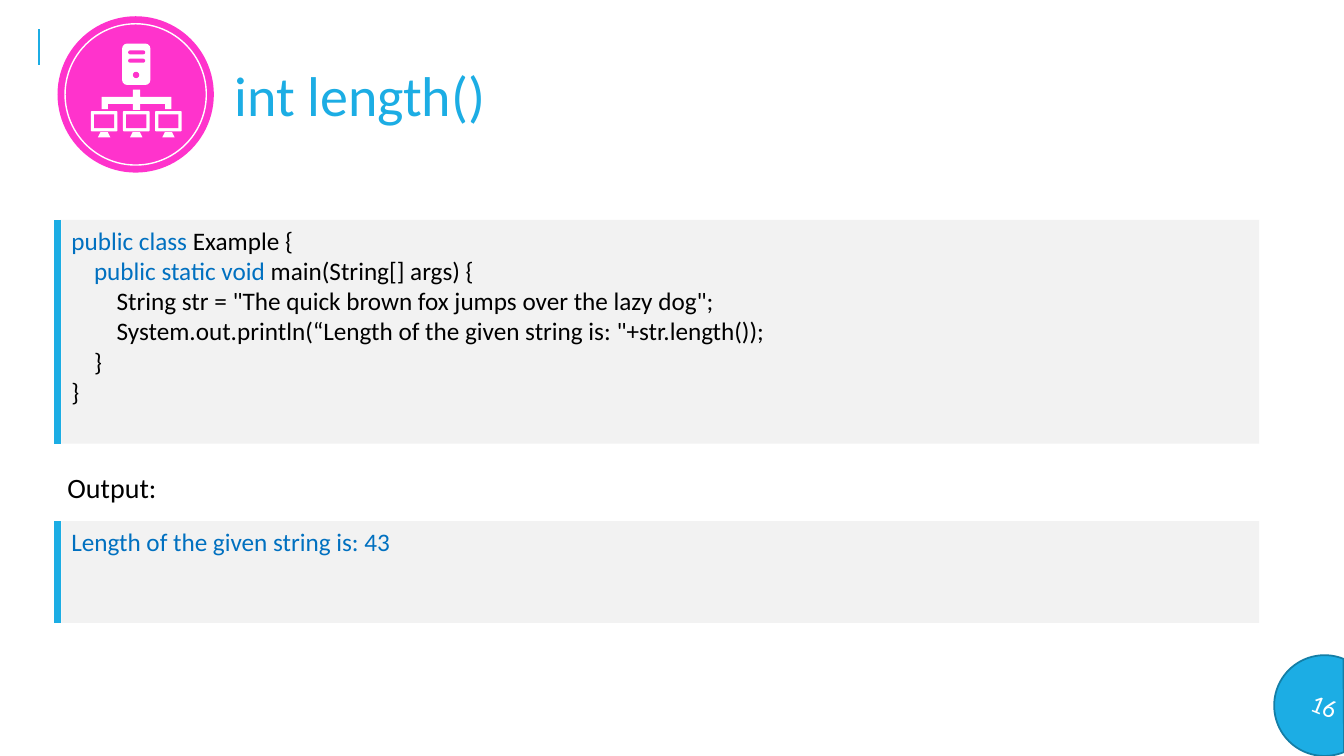
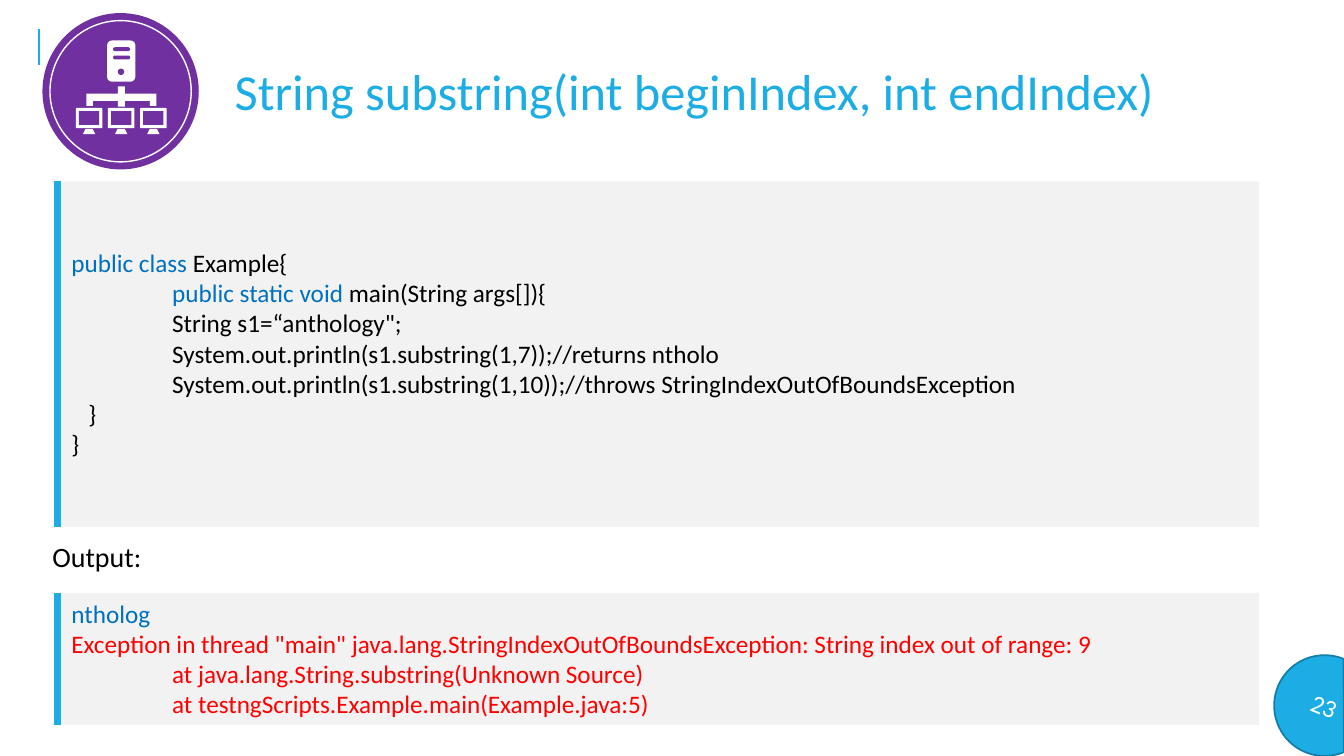
"""Build two slides that show Java String methods with code and output."""
from lxml import etree
from pptx import Presentation
from pptx import util as u
from pptx.dml import color
from pptx.enum import shapes, text
from pptx.oxml import ns

COLOURS = {
    "accent": "1CADE4", "edge": "147EA6", "panel": "F2F2F2", "keyword": "0070C0",
    "plain": "000000", "error": "FF0000", "white": "FFFFFF",
    "pink": "FF33CC", "purple": "7030A0",
}
RGB = {name: color.RGBColor.from_string(code) for name, code in COLOURS.items()}
FONT = "Calibri"
KIND = shapes.MSO_SHAPE
ALIGN, ANCHOR = text.PP_ALIGN, text.MSO_ANCHOR
STEP, TAB = 0.57, 2.54

SLIDES = [
    {
        "title": "int length()", "title_size": 40, "title_box": (12.88, 1.96),
        "number": "16", "badge": (1.45, 0.41), "badge_fill": "pink",
        "label": (1.45, 11.73),
        "panels": [
            (5.54, 5.64, 0.13, [
                (0, ("public class ", "keyword"), ("Example {", "plain")),
                (STEP, ("public static void ", "keyword"), ("main(String[] args) {", "plain")),
                (2 * STEP, ('String str = "The quick brown fox jumps over the lazy dog";', "plain")),
                (2 * STEP, ('System.out.println(“Length of the given string is: "+str.length());', "plain")),
                (STEP, ("}", "plain")),
                (0, ("}", "plain")),
            ]),
            (13.13, 2.57, 0.13, [(0, ("Length of the given string is: 43", "keyword"))]),
        ],
    },
    {
        "title": "String substring(int beginIndex, int endIndex)",
        "title_size": 36, "title_box": (26.06, 1.8),
        "number": "23", "badge": (1.07, 0.33), "badge_fill": "purple",
        "label": (1.07, 13.46),
        "panels": [
            (4.57, 8.71, 1.66, [
                (0, ("public class ", "keyword"), ("Example{", "plain")),
                (TAB, ("public static void ", "keyword"), ("main(String args[]){", "plain")),
                (TAB, ('String s1=“anthology";', "plain")),
                (TAB, ("System.out.println(s1.substring(1,7));//returns ntholo", "plain")),
                (TAB, ("System.out.println(s1.substring(1,10));//throws StringIndexOutOfBoundsException", "plain")),
                (0.43, ("}", "plain")),
                (0, ("}", "plain")),
            ]),
            (14.94, 3.33, 0.13, [
                (0, ("ntholog", "keyword")),
                (0, ('Exception in thread "main" java.lang.StringIndexOutOfBoundsException: '
                     "String index out of range: 9", "error")),
                (TAB, ("at java.lang.String.substring(Unknown Source)", "error")),
                (TAB, ("at testngScripts.Example.main(Example.java:5)", "error")),
            ]),
        ],
    },
]


def draw_shape(parent, kind, place, fill, line=None, width=1):
    """Add a flat preset shape; place is left, top, width, height in cm."""
    shape = parent.shapes.add_shape(kind, *map(u.Cm, place))
    shape.shadow.inherit = False
    shape.fill.solid()
    shape.fill.fore_color.rgb = RGB[fill]
    if line:
        shape.line.color.rgb = RGB[line]
        shape.line.width = u.Pt(width)
    else:
        shape.line.fill.background()
    return shape


def draw_rule(parent, x, top, bottom, width):
    """Add a vertical accent line."""
    rule = parent.shapes.add_connector(
        shapes.MSO_CONNECTOR.STRAIGHT, u.Cm(x), u.Cm(top), u.Cm(x), u.Cm(bottom))
    rule.line.color.rgb = RGB["accent"]
    rule.line.width = u.Pt(width)
    etree.SubElement(rule.element.spPr, ns.qn("a:effectLst"))
    return rule


deck = Presentation()
deck.slide_width, deck.slide_height = u.Cm(33.87), u.Cm(19.05)
layout = deck.slide_layouts[5]

for index, content in enumerate(SLIDES):
    page = deck.slides.add_slide(layout)
    if index == 0:
        layout.shapes.element.append(draw_rule(page, 0.99, 0.74, 1.63, 1.5).element)

    title = page.shapes.title
    title.left, title.top = u.Cm(5.66), u.Cm(1.4)
    title.width, title.height = map(u.Cm, content["title_box"])

    chord = draw_shape(page, KIND.CHORD, (32.11, 16.51, 2.54, 2.54), "accent", "edge", 1.25)
    chord.adjustments[0], chord.adjustments[1] = 27, 161.87
    chord.rotation = 22.2

    for top, height, inset, lines in content["panels"]:
        group = page.shapes.add_group_shape()
        panel = draw_shape(group, KIND.RECTANGLE, (1.55, top, 30.18, height), "panel")
        draw_rule(group, 1.45, top, top + height, 4.5)
        frame = panel.text_frame
        frame.word_wrap = True
        frame.vertical_anchor = ANCHOR.TOP
        frame.margin_top = u.Cm(inset)
        for number, (indent, *spans) in enumerate(lines):
            para = frame.add_paragraph() if number else frame.paragraphs[0]
            para.alignment = ALIGN.LEFT
            for words, colour in spans:
                span = para.add_run()
                span.text = words
                span.font.name, span.font.size = FONT, u.Pt(18)
                span.font.color.rgb = RGB[colour]
            properties = panel.element.txBody.p_lst[number].get_or_add_pPr()
            properties.set("marL", str(u.Cm(indent)))

    label = page.shapes.add_textbox(*map(u.Cm, (*content["label"], 2.77, 1.12)))

    for box, words, size, colour, align, anchor in (
        (title, content["title"], content["title_size"], "accent", ALIGN.LEFT, ANCHOR.TOP),
        (chord, content["number"], 18, "white", ALIGN.CENTER, ANCHOR.MIDDLE),
        (label, "Output:", 20, "plain", ALIGN.LEFT, ANCHOR.TOP),
    ):
        frame = box.text_frame
        frame.text = words
        frame.word_wrap = True
        frame.auto_size = text.MSO_AUTO_SIZE.NONE
        frame.vertical_anchor = anchor
        para = frame.paragraphs[0]
        para.alignment = align
        font = para.runs[0].font
        font.name, font.size = FONT, u.Pt(size)
        font.color.rgb = RGB[colour]

    badge = page.shapes.add_group_shape()
    x, y = content["badge"]
    fill = content["badge_fill"]
    draw_shape(badge, KIND.OVAL, (x, y, 3.94, 3.94), fill)
    draw_shape(badge, KIND.OVAL, (x + 0.19, y + 0.19, 3.56, 3.56), fill, "white")

    tower = draw_shape(badge, KIND.ROUNDED_RECTANGLE, (x + 1.63, y + 0.69, 0.71, 1.04), "white")
    tower.adjustments[0] = 0.17
    for slot_top in (0.86, 1.07):
        slot = draw_shape(badge, KIND.ROUNDED_RECTANGLE, (x + 1.78, y + slot_top, 0.43, 0.1), fill)
        slot.adjustments[0] = 0.5
    draw_shape(badge, KIND.OVAL, (x + 1.9, y + 1.4, 0.16, 0.16), fill)

    half = [(0.09, 1.85), (0.09, 2.03), (0.88, 2.03), (0.88, 2.34),
            (0.72, 2.34), (0.72, 2.21), (0.09, 2.21), (0.09, 2.36)]
    outline = half + [(-dx, dy) for dx, dy in reversed(half)]
    points = [(u.Cm(x + 1.99 + dx), u.Cm(y + dy)) for dx, dy in outline]
    builder = badge.shapes.build_freeform(*points[0])
    builder.add_line_segments(points[1:], close=True)
    tree = builder.convert_to_shape()
    tree.shadow.inherit = False
    tree.fill.solid()
    tree.fill.fore_color.rgb = RGB["white"]
    tree.line.fill.background()

    for column in range(3):
        screen_x = x + 0.84 + 0.81 * column
        screen = draw_shape(badge, KIND.ROUNDED_RECTANGLE, (screen_x, y + 2.39, 0.67, 0.51), "white")
        screen.adjustments[0] = 0.05
        draw_shape(badge, KIND.RECTANGLE, (screen_x + 0.08, y + 2.47, 0.51, 0.35), fill)
        stand = draw_shape(badge, KIND.TRAPEZOID, (screen_x + 0.18, y + 2.92, 0.31, 0.13), "white")
        stand.adjustments[0] = 0.5

deck.save("out.pptx")
